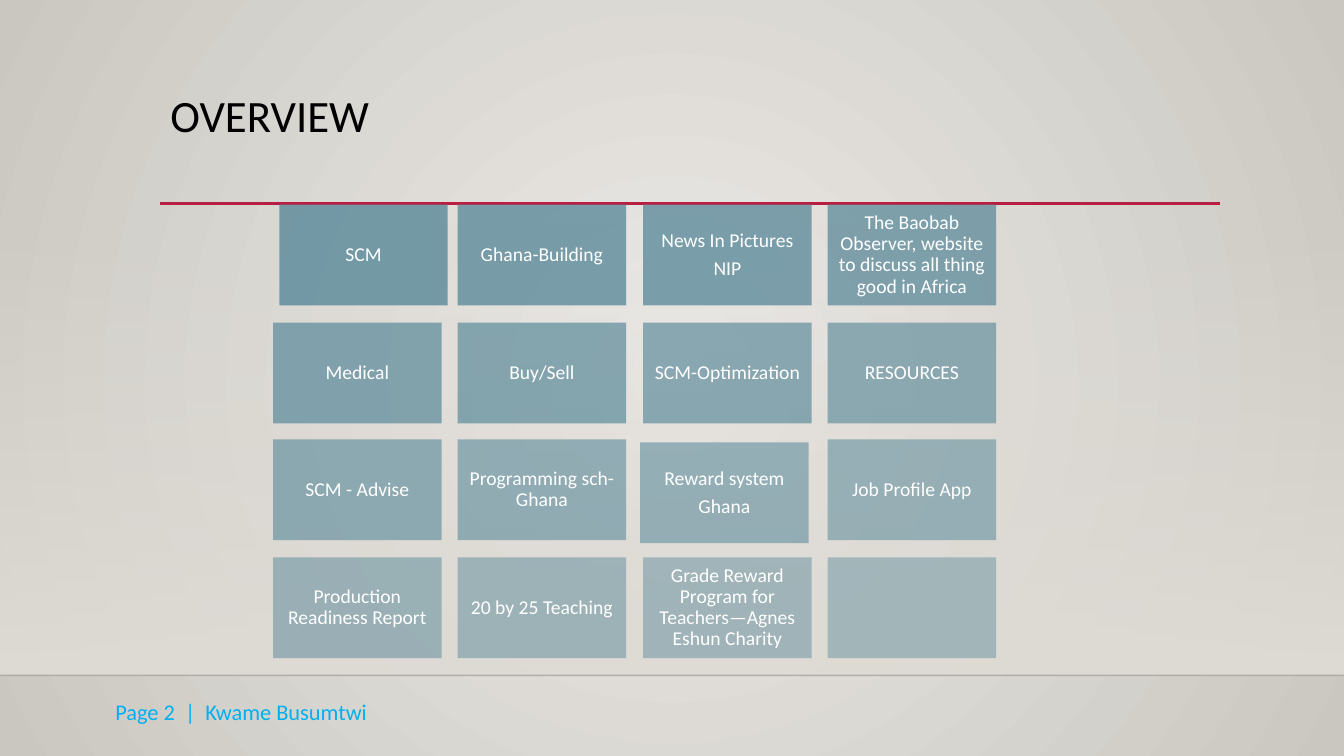
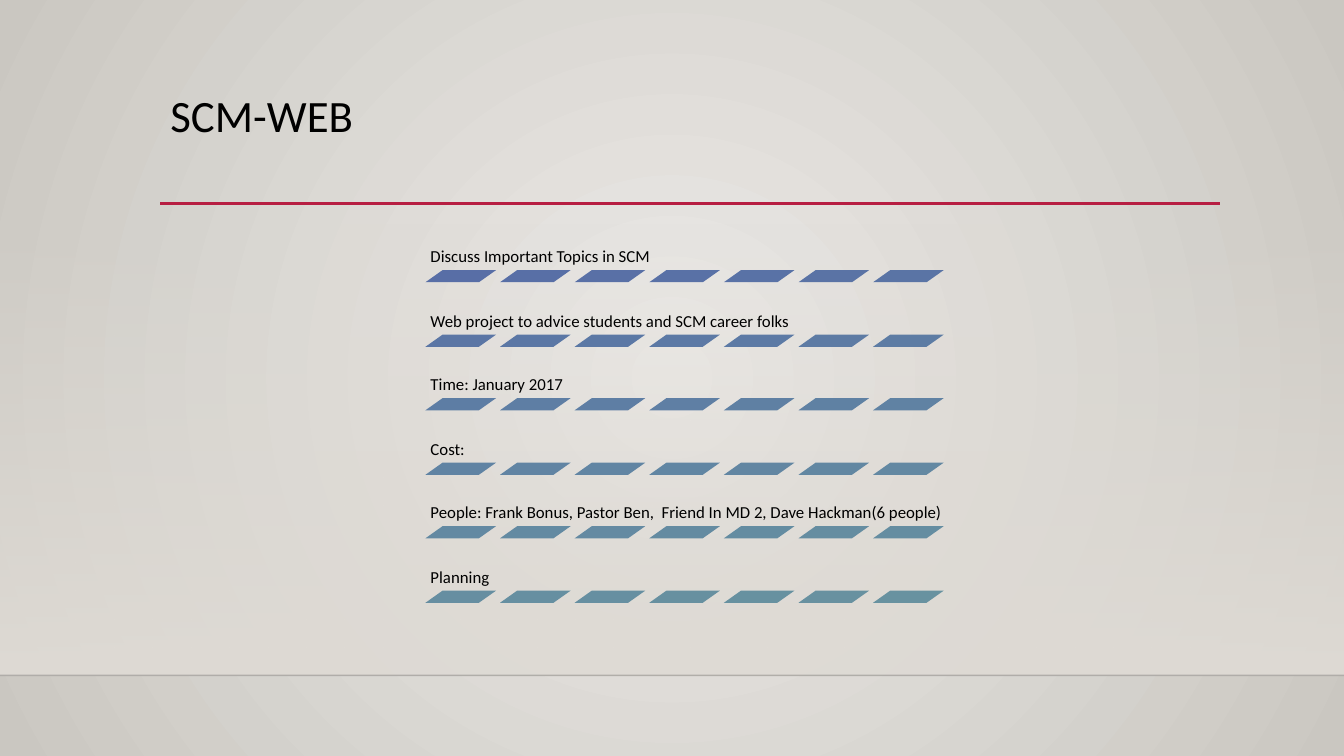
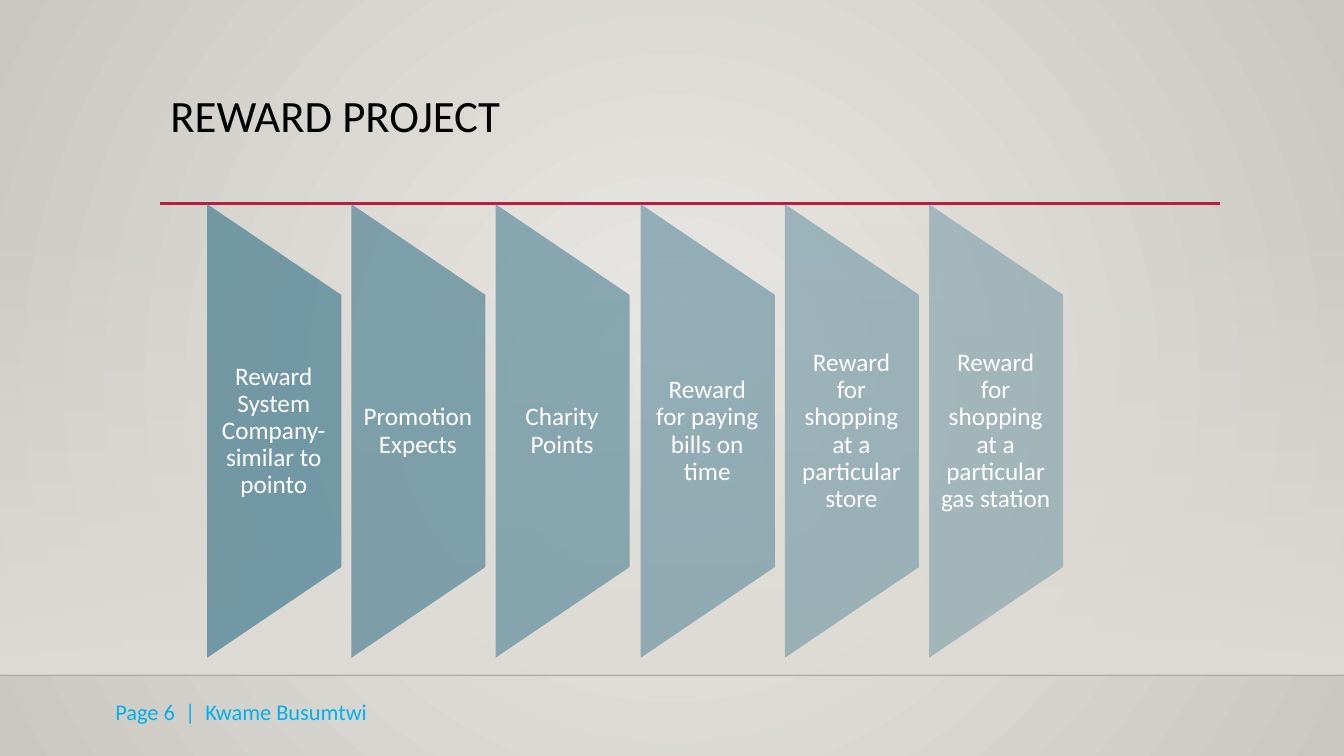
import colorsys
from dataclasses import dataclass

import pptx
import pptx.dml.color
import pptx.enum.shapes
import pptx.enum.text
import pptx.oxml
import pptx.oxml.ns
import pptx.util

RGB = pptx.dml.color.RGBColor
SHAPE = pptx.enum.shapes.MSO_SHAPE
ALIGN = pptx.enum.text.PP_ALIGN
ANCHOR = pptx.enum.text.MSO_ANCHOR
qn = pptx.oxml.ns.qn

# Scale: 100 px to the inch
SCALE = 9144
WIDE, HIGH = 1333, 750

# Colours and font
BLACK = RGB(0x00, 0x00, 0x00)
WHITE = RGB(0xFF, 0xFF, 0xFF)
RULE = RGB(0x00, 0x00, 0x01)
RED = RGB(0xB7, 0x1E, 0x42)
TEAL = RGB(0x68, 0x92, 0xA0)
BLUE = RGB(0x58, 0x6E, 0xA6)
SKY = RGB(0x00, 0xB0, 0xF0)
PALE = RGB(0xEC, 0xEA, 0xE7)
GREY = RGB(0xCA, 0xC7, 0xC1)
SAND = RGB(0xDF, 0xDB, 0xD5)
FONT = "Calibri"


@dataclass(frozen=True)
class Box:
    x: int
    y: int
    w: int
    h: int

    def emu(self) -> tuple[int, ...]:
        return tuple(v * SCALE for v in (self.x, self.y, self.w, self.h))


@dataclass(frozen=True)
class Look:
    size: int
    color: RGB
    align: ALIGN = ALIGN.LEFT
    anchor: ANCHOR = ANCHOR.TOP
    pad: tuple[int, int] = (10, 5)
    lead: float = 0.9
    after: int = 0


@dataclass(frozen=True)
class Cell:
    text: str
    dx: int = 0
    dy: int = 0


TITLE = Look(32, BLACK)
FOOT = Look(16, SKY, ALIGN.RIGHT, lead=1.0)
TILE = Look(14, WHITE, ALIGN.CENTER, ANCHOR.MIDDLE, (6, 6), after=5)
TOPIC = Look(12, BLACK, anchor=ANCHOR.BOTTOM, pad=(5, 5), after=4)
PANEL = Look(18, WHITE, ALIGN.CENTER, ANCHOR.MIDDLE, (12, 0), after=6)

CELLS = [
    Cell("SCM", dx=6),
    Cell("Ghana-Building"),
    Cell("News In Pictures\nNIP"),
    Cell("The Baobab Observer, website to discuss all thing good in Africa"),
    Cell("Medical"),
    Cell("Buy/Sell"),
    Cell("SCM-Optimization"),
    Cell("RESOURCES"),
    Cell("SCM - Advise"),
    Cell("Programming sch- Ghana"),
    Cell("Reward system\nGhana", dx=-3, dy=3),
    Cell("Job Profile App"),
    Cell("Production Readiness Report"),
    Cell("20 by 25 Teaching"),
    Cell("Grade Reward Program for Teachers—Agnes Eshun Charity"),
    Cell(""),
]
TOPICS = [
    "Discuss Important Topics in SCM",
    "Web project to advice students and SCM career folks",
    "Time: January 2017",
    "Cost:",
    "People: Frank Bonus, Pastor Ben,  Friend In MD 2, Dave Hackman(6 people)",
    "Planning",
]
PANELS = [
    "Reward System Company- similar to pointo",
    "Promotion Expects",
    "Charity Points",
    "Reward for paying bills on time",
    "Reward for shopping at a particular store",
    "Reward for shopping at a particular gas station",
]


# Drawing helpers
def fade(node, share: float) -> None:
    """Set the opacity, in percent, of the first colour inside node."""
    color = next(node.iter(qn("a:srgbClr")))
    alpha = pptx.oxml.parse_xml(f'<a:alpha {pptx.oxml.ns.nsdecls("a")}/>')
    alpha.set("val", str(round(share * 1000)))
    color.append(alpha)


def blend(fill, start: RGB, end: RGB) -> None:
    fill.gradient()
    for stop, color, spot in zip(fill.gradient_stops, (start, end), (0, 1)):
        stop.color.rgb = color
        stop.position = spot


def write(frame, text: str, look: Look) -> None:
    frame.text = text
    frame.word_wrap = True
    frame.auto_size = pptx.enum.text.MSO_AUTO_SIZE.NONE
    frame.vertical_anchor = look.anchor
    side, edge = (v * SCALE for v in look.pad)
    frame.margin_left = frame.margin_right = side
    frame.margin_top = frame.margin_bottom = edge
    for para in frame.paragraphs:
        para.alignment = look.align
        para.line_spacing = look.lead
        para.space_before = pptx.util.Pt(0)
        para.space_after = pptx.util.Pt(look.after)
        for run in para.runs:
            run.font.name = FONT
            run.font.size = pptx.util.Pt(look.size)
            run.font.color.rgb = look.color


def label(slide, box: Box, text: str, look: Look) -> None:
    write(slide.shapes.add_textbox(*box.emu()).text_frame, text, look)


def block(slide, kind: SHAPE, box: Box, color: RGB, share: float = 100):
    shape = slide.shapes.add_shape(kind, *box.emu())
    shape.shadow.inherit = False
    shape.line.fill.background()
    shape.fill.solid()
    shape.fill.fore_color.rgb = color
    if share < 100:
        fade(shape.element, share)
    return shape


def rule(slide, x: int, y: int, end: int, color: RGB, width: float):
    line = slide.shapes.add_connector(
        pptx.enum.shapes.MSO_CONNECTOR.STRAIGHT,
        x * SCALE, y * SCALE, end * SCALE, y * SCALE)
    line.line.color.rgb = color
    line.line.width = pptx.util.Pt(width)
    line.element.spPr.append(
        pptx.oxml.parse_xml(f'<a:effectLst {pptx.oxml.ns.nsdecls("a")}/>'))
    return line


# Shared parts
def dress(layout, slide) -> None:
    """Give the layout its backdrop, band and lines, drawn by way of slide."""
    blend(layout.background.fill, PALE, GREY)
    lin = next(layout.element.iter(qn("a:lin")))
    lin.getparent().replace(lin, pptx.oxml.parse_xml(
        f'<a:path {pptx.oxml.ns.nsdecls("a")} path="circle">'
        '<a:fillToRect l="50000" t="50000" r="50000" b="50000"/></a:path>'))

    band = block(slide, SHAPE.RECTANGLE, Box(0, 221, WIDE, 449), SAND)
    blend(band.fill, SAND, SAND)
    band.fill.gradient_angle = 270
    fade(band.element, 0)
    floor = rule(slide, 0, 670, WIDE, RULE, 1)
    fade(floor.element, 20)
    under = rule(slide, 159, 202, 1210, RED, 2.5)
    for part in (band, floor, under):
        layout.shapes.element.append(part.element)


def head(slide, text: str) -> None:
    title = slide.shapes.title
    title.left, title.top, title.width, title.height = Box(
        159, 88, 1050, 115).emu()
    write(title.text_frame, text, TITLE)


def foot(slide, page: int) -> None:
    label(slide, Box(74, 688, 300, 40), f"Page {page}  |  Kwame Busumtwi", FOOT)


# Slide bodies
def tiles(slide) -> None:
    for i, cell in enumerate(CELLS):
        row, col = divmod(i, 4)
        box = Box(271 + round(col * 183.4) + cell.dx,
                  203 + round(row * 116.67) + cell.dy, 167, 100)
        share = 90 - 40 * i / (len(CELLS) - 1)
        tile = block(slide, SHAPE.RECTANGLE, box, TEAL, share)
        if cell.text:
            write(tile.text_frame, cell.text, TILE)


def shade(part: float) -> RGB:
    """Mix BLUE into TEAL by hue, lightness and saturation."""
    ends = [colorsys.rgb_to_hls(*(v / 255 for v in c)) for c in (BLUE, TEAL)]
    mix = (a + (b - a) * part for a, b in zip(*ends))
    return RGB(*(round(v * 255) for v in colorsys.hls_to_rgb(*mix)))


def topics(slide) -> None:
    count = 7
    last = len(TOPICS) * count - 1
    for row, text in enumerate(TOPICS):
        drop = round(row * 63.6)
        label(slide, Box(422, 221 + drop, 524, 48), text, TOPIC)
        for col in range(count):
            bar = block(slide, SHAPE.PARALLELOGRAM,
                        Box(422 + col * 74, 268 + drop, 70, 12),
                        shade((row * count + col) / last))
            bar.adjustments[0] = 1.41


def panels(slide) -> None:
    for i, text in enumerate(PANELS):
        step = round(i * 143.2)
        panel = block(slide, SHAPE.FLOWCHART_MANUAL_OPERATION,
                      Box(47 + step, 361, 450, 133), TEAL, 90 - 8 * i)
        panel.rotation = 270
        label(slide, Box(205 + step, 293, 133, 270), text, PANEL)


def main() -> None:
    deck = pptx.Presentation()
    deck.slide_width, deck.slide_height = WIDE * SCALE, HIGH * SCALE
    layout = deck.slide_layouts[5]
    plan = [("OVERVIEW", tiles, 2), ("SCM-WEB", topics, None),
            ("REWARD PROJECT", panels, 6)]
    for i, (title, body, page) in enumerate(plan):
        slide = deck.slides.add_slide(layout)
        if i == 0:
            dress(layout, slide)
        head(slide, title)
        body(slide)
        if page:
            foot(slide, page)
    deck.save("out.pptx")


if __name__ == "__main__":
    main()
